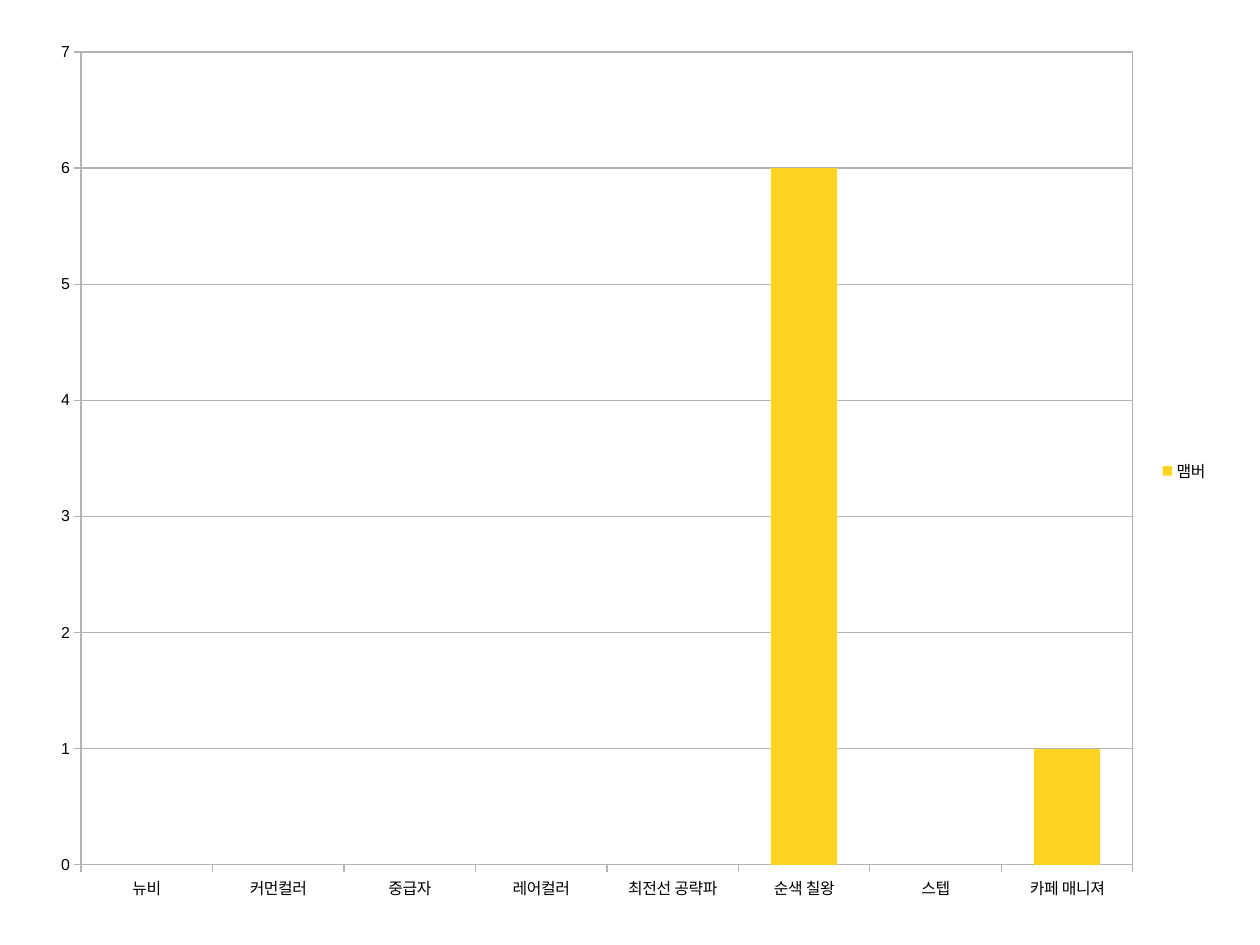
from lxml import etree
from pptx import Presentation
from pptx.chart.data import CategoryChartData
from pptx.dml.color import RGBColor
from pptx.enum.chart import XL_CHART_TYPE, XL_LEGEND_POSITION, XL_TICK_MARK
from pptx.oxml import parse_xml
from pptx.oxml.ns import nsdecls, qn
from pptx.util import Emu, Pt

PX = 8000
GREY, YELLOW, BLACK = "B3B3B3", "FFD320", "000000"
CHART = (39, 26, 1181, 890)
PLOT = (81, 52, 1052, 813)
RANKS = ["뉴비", "커먼컬러", "중급자", "레어컬러", "최전선 공략파", "순색 칠왕", "스텝", "카페 매니져"]
MEMBERS = [None, None, None, None, None, 6, None, 1]


def px(n):
    """Turn whole pixels into EMU."""
    return Emu(n * PX)


def rgb(code):
    """Turn a hex string into a colour."""
    return RGBColor.from_string(code)


def style_text(text, size=10, color=BLACK, name="Arial"):
    """Format the font of a chart, axis or legend."""
    text.font.size = Pt(size)
    text.font.name = name
    text.font.color.rgb = rgb(color)


def style_line(line, color=GREY):
    """Give a line a colour and hairline width."""
    line.color.rgb = rgb(color)
    line.width = Pt(0)


def style_axis(axis):
    """Give an axis its ticks, line and labels."""
    axis.major_tick_mark = XL_TICK_MARK.OUTSIDE
    axis.minor_tick_mark = XL_TICK_MARK.NONE
    style_line(axis.format.line)
    style_text(axis.tick_labels)


def frame_plot(chart):
    """Place the inner plot area and outline it."""
    area = chart.plots[0]._element.getparent()
    for old in area.findall(qn("c:layout")):
        area.remove(old)
    layout = parse_xml(f"<c:layout {nsdecls('c')}><c:manualLayout/></c:layout>")
    left, top, width, height = CHART
    x, y, w, h = PLOT
    values = {"layoutTarget": "inner", "xMode": "edge", "yMode": "edge",
              "x": (x - left) / width, "y": (y - top) / height,
              "w": w / width, "h": h / height}
    for tag, value in values.items():
        etree.SubElement(layout[0], qn(f"c:{tag}")).set("val", str(value))
    area.insert(0, layout)
    area.append(parse_xml(
        f"<c:spPr {nsdecls('c', 'a')}><a:noFill/><a:ln w='0'><a:solidFill>"
        f"<a:srgbClr val='{GREY}'/></a:solidFill></a:ln></c:spPr>"))


def add_member_chart(s):
    """Add the column chart of members by rank."""
    data = CategoryChartData()
    data.categories = RANKS
    data.add_series("맴버", MEMBERS)
    chart = s.shapes.add_chart(
        XL_CHART_TYPE.COLUMN_CLUSTERED, *map(px, CHART), data).chart
    chart.has_title = False
    style_text(chart)
    chart.has_legend = True
    chart.legend.position = XL_LEGEND_POSITION.RIGHT
    chart.legend.include_in_layout = False
    style_text(chart.legend)

    for axis in (chart.category_axis, chart.value_axis):
        style_axis(axis)
    axis = chart.value_axis
    axis.minimum_scale, axis.maximum_scale, axis.major_unit = 0, 7, 1
    axis.has_major_gridlines = True
    style_line(axis.major_gridlines.format.line)

    plot = chart.plots[0]
    plot.gap_width = 100
    plot.vary_by_categories = False
    fill = plot.series[0].format.fill
    fill.solid()
    fill.fore_color.rgb = rgb(YELLOW)
    frame_plot(chart)


def main():
    """Build the slide and save it."""
    prs = Presentation()
    prs.slide_width, prs.slide_height = px(1260), px(945)
    s = prs.slides.add_slide(prs.slide_layouts[6])
    add_member_chart(s)
    prs.save("out.pptx")


if __name__ == "__main__":
    main()
